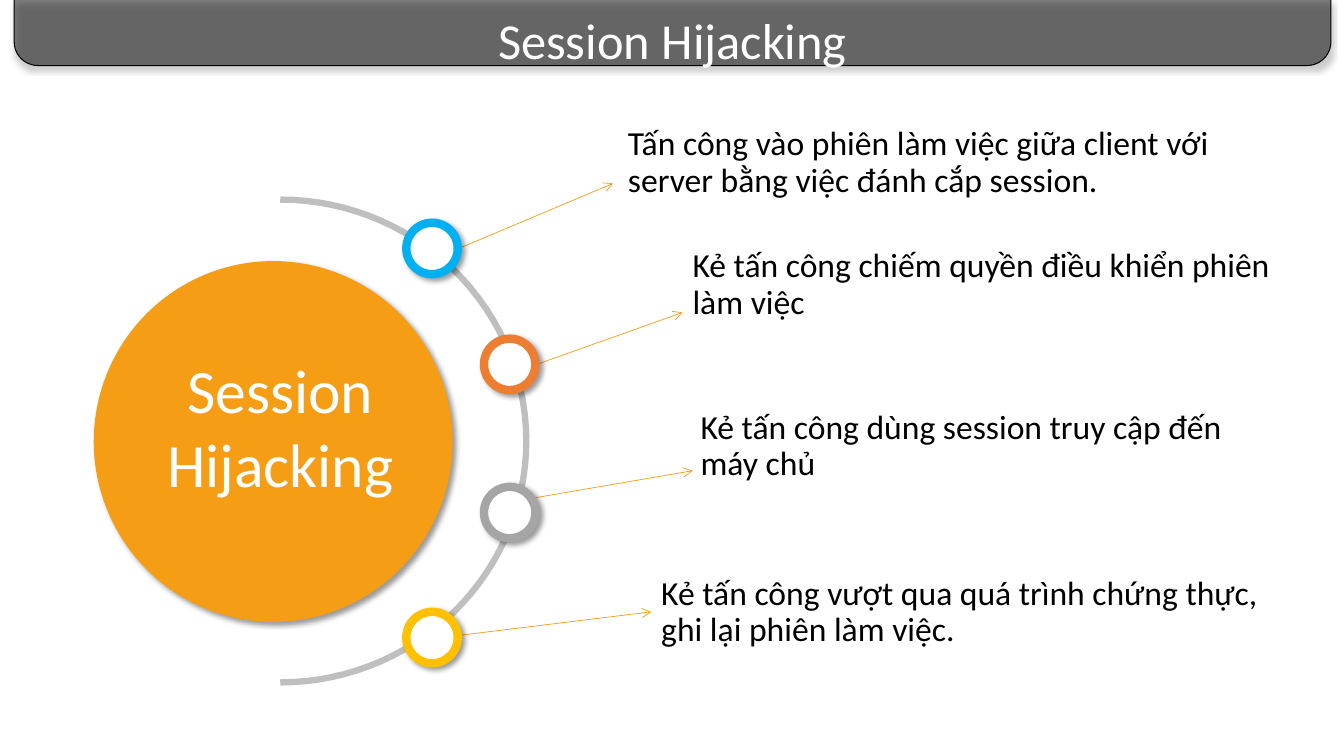
from math import cos, pi, sin

from lxml import etree
from pptx import Presentation
from pptx.dml.color import RGBColor
from pptx.enum.shapes import MSO_CONNECTOR, MSO_SHAPE
from pptx.enum.text import MSO_AUTO_SIZE, PP_ALIGN
from pptx.oxml.ns import qn
from pptx.util import Inches, Pt

OVAL = MSO_SHAPE.OVAL
ROUND = MSO_SHAPE.ROUND_2_SAME_RECTANGLE
LINE = MSO_CONNECTOR.STRAIGHT
CENTER = PP_ALIGN.CENTER
GROW = MSO_AUTO_SIZE.SHAPE_TO_FIT_TEXT

HUES = {
    "black": "000000", "white": "FFFFFF", "main": "F49D15", "arc": "BFBFBF",
    "blue": "00B0F0", "red": "ED7D31", "gray": "A5A5A5", "gold": "FFC000",
}
RGB = {name: RGBColor.from_string(hue) for name, hue in HUES.items()}


def add_form(home, kind, box, fill, edge, width, angle):
    form = home.add_shape(kind, *map(Inches, box))
    form.shadow.inherit = False
    form.fill.solid()
    form.fill.fore_color.rgb = RGB[fill]
    if edge:
        form.line.color.rgb = RGB[edge]
        form.line.width = Pt(width)
    else:
        form.line.fill.background()
    glow = etree.SubElement(
        form._element.spPr.find(qn("a:effectLst")), qn("a:outerShdw"),
        blurRad=str(Pt(4)), dist=str(Pt(3)), dir=str(angle * 60000),
        algn="ctr", rotWithShape="0")
    tint = etree.SubElement(glow, qn("a:srgbClr"), val=HUES["black"])
    etree.SubElement(tint, qn("a:alpha"), val="40000")
    return form


def add_text(home, box, text, size, hue):
    label = home.add_textbox(*map(Inches, box))
    frame = label.text_frame
    frame.word_wrap = True
    frame.text = text
    para = frame.paragraphs[0]
    font = para.runs[0].font
    font.name = "Calibri"
    font.size = Pt(size)
    font.color.rgb = RGB[hue]
    return frame, para


deck = Presentation()
deck.slide_width = Inches(13.33)
deck.slide_height = Inches(7.5)
slide = deck.slides.add_slide(deck.slide_layouts[6])
shapes = slide.shapes

STEPS = 60
dots = []
for step in range(STEPS + 1):
    turn = pi / 2 - pi * step / STEPS
    dots.append((Inches(2.78 + 2.44 * cos(turn)),
                 Inches(4.375 + 2.395 * sin(turn))))
path = shapes.build_freeform(*dots[0])
path.add_line_segments(dots[1:], close=False)
arc = path.convert_to_shape()
arc.shadow.inherit = False
arc.fill.background()
arc.line.color.rgb = RGB["arc"]
arc.line.width = Pt(4.5)

ARROWS = [
    (4.54, 2.47, 6.08, 1.82),
    (5.31, 3.62, 6.77, 3.1),
    (5.18, 4.96, 6.87, 4.67),
    (4.58, 6.3, 6.46, 6.07),
]
for ends in ARROWS:
    arrow = shapes.add_connector(LINE, *map(Inches, ends))
    arrow.line.color.rgb = RGB["main"]
    arrow.line.width = Pt(0.5)
    etree.SubElement(arrow.line._get_or_add_ln(), qn("a:tailEnd"), type="arrow")
    etree.SubElement(arrow._element.spPr, qn("a:effectLst"))

add_form(shapes, OVAL, (0.93, 2.59, 3.56, 3.58), "main", None, 0, 45)

NOTES = [
    ((6.13, 1.21, 6.81, 1.14),
     "Tấn công vào phiên làm việc giữa client với server bằng việc đánh cắp session."),
    ((6.77, 2.42, 5.98, 0.84),
     "Kẻ tấn công chiếm quyền điều khiển phiên làm việc"),
    ((6.85, 4.02, 5.7, 0.84),
     "Kẻ tấn công dùng session truy cập đến máy chủ"),
    ((6.46, 5.67, 6.29, 0.8),
     "Kẻ tấn công vượt qua quá trình chứng thực, ghi lại phiên làm việc."),
]
for box, text in NOTES:
    frame, para = add_text(shapes, box, text, 24, "black")
    para.line_spacing = 0.9

RINGS = [
    (4.03, 2.21, "blue"), (4.8, 3.36, "red"),
    (4.8, 4.83, "gray"), (4.03, 6.07, "gold"),
]
for left, top, hue in RINGS:
    add_form(shapes, OVAL, (left, top, 0.51, 0.51), "white", hue, 6, 45)

head = shapes.add_group_shape().shapes
bar = add_form(head, ROUND, (0.14, -0.02, 13.06, 0.67), "black", "black", 0.75, 90)
bar.rotation = 180
bar.adjustments[0] = 0.352
bar.adjustments[1] = 0
tone = bar._element.spPr.find(qn("a:solidFill"))[0]
etree.SubElement(tone, qn("a:alpha"), val="50000")

TITLES = [
    (head, (0.14, 0.04, 13.06, 1.31), 36),
    (shapes, (1.49, 3.44, 2.58, 1.58), 44),
]
for home, box, size in TITLES:
    frame, para = add_text(home, box, "Session Hijacking", size, "white")
    frame.auto_size = GROW
    para.alignment = CENTER

deck.save("out.pptx")
